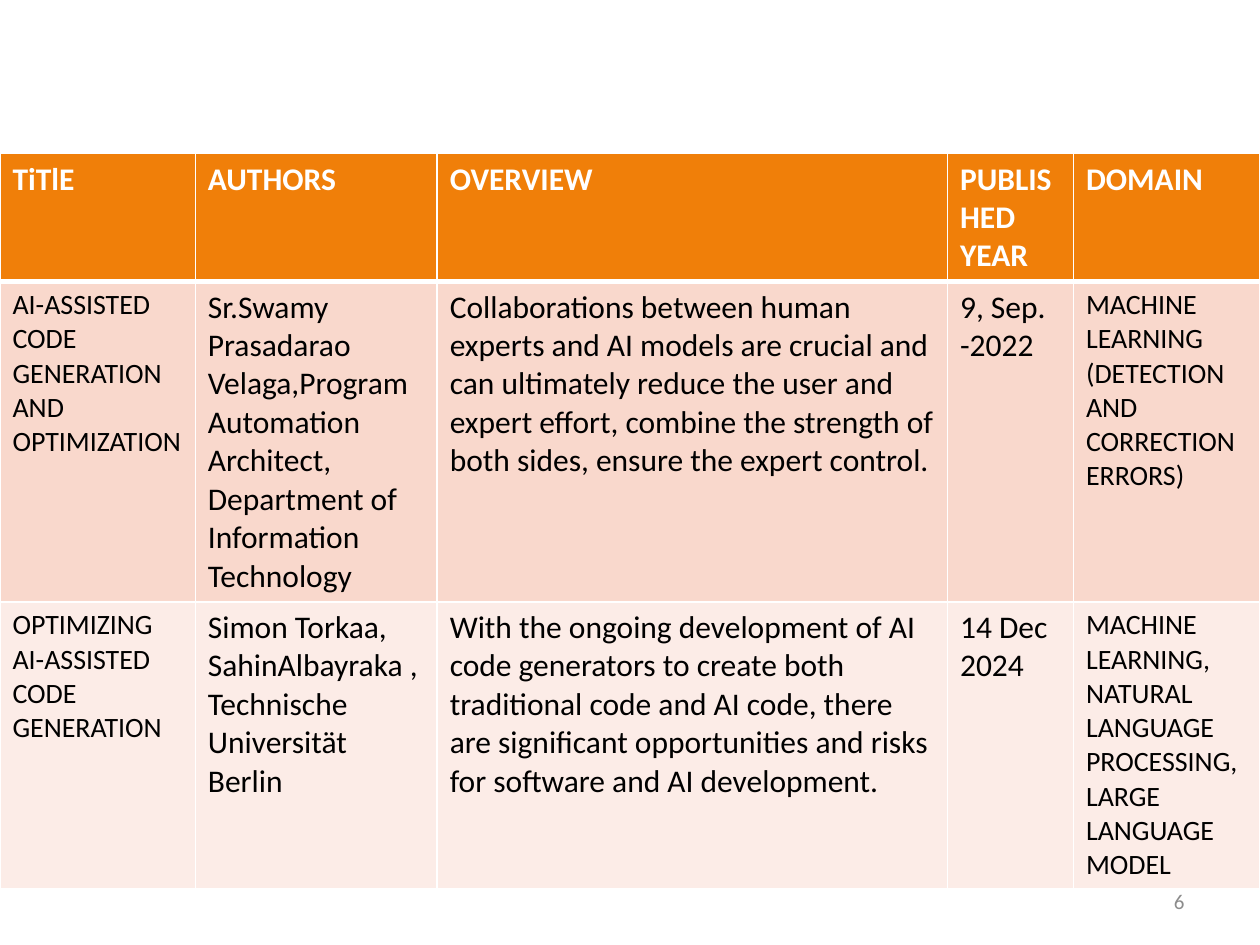
from dataclasses import dataclass

import pptx
import pptx.dml.color
import pptx.enum.text
import pptx.oxml
import pptx.oxml.ns
import pptx.util
from pptx.util import Inches

FONT = "Calibri"
COLORS = {
    "header": "F07F09",
    "odd_band": "F9D8CC",
    "even_band": "FCECE7",
    "rule": "FFFFFF",
    "header_text": "FFFFFF",
    "body_text": "000000",
    "page_number": "8C8C8C",
}


@dataclass
class Column:
    heading: str
    width: float
    body_size: int


@dataclass
class Paper:
    """One surveyed paper; each entry holds the paragraphs of one cell."""
    entries: list[list[str]]
    height: float
    band: str


COLUMNS = [
    Column("TiTlE", 1.55, 16),
    Column("AUTHORS", 1.92, 18),
    Column("OVERVIEW", 4.05, 18),
    Column("PUBLISHED YEAR", 1, 18),
    Column("DOMAIN", 1.48, 16),
]
HEADER_HEIGHT = 1.0
PAPERS = [
    Paper([
        ["AI-ASSISTED CODE GENERATION AND OPTIMIZATION"],
        ["Sr.Swamy Prasadarao Velaga,Program Automation Architect, "
         "Department of Information Technology"],
        ["Collaborations between human experts and AI models are crucial and can "
         "ultimately reduce the user and expert effort, combine the strength of "
         "both sides, ensure the expert control."],
        ["9, Sep. -2022"],
        ["MACHINE LEARNING", "(DETECTION AND CORRECTION \nERRORS)"],
    ], 2.54, "odd_band"),
    Paper([
        ["OPTIMIZING AI-ASSISTED CODE GENERATION"],
        ["Simon Torkaa, SahinAlbayraka ,", "Technische Universität Berlin"],
        ["With the ongoing development of AI code generators to create both "
         "traditional code and AI code, there are significant opportunities and "
         "risks for software and AI development."],
        ["14 Dec 2024"],
        ["MACHINE LEARNING,\nNATURAL LANGUAGE PROCESSING,", "LARGE LANGUAGE MODEL"],
    ], 2.27, "even_band"),
]


def rgb(color: str) -> pptx.dml.color.RGBColor:
    return pptx.dml.color.RGBColor.from_string(COLORS[color])


def write(paragraph, text: str, size: int, color: str, bold: bool = False) -> None:
    paragraph.text = text
    for run in paragraph.runs:
        run.font.name = FONT
        run.font.size = pptx.util.Pt(size)
        run.font.bold = bold
        run.font.color.rgb = rgb(color)


def add_borders(cell, top: float = 1, bottom: float = 1) -> None:
    namespace = pptx.oxml.ns.nsdecls("a")
    properties = cell._tc.get_or_add_tcPr()
    for side, points in (("L", 1), ("R", 1), ("T", top), ("B", bottom)):
        properties.append(pptx.oxml.parse_xml(
            f'<a:ln{side} {namespace} w="{pptx.util.Pt(points)}"><a:solidFill>'
            f'<a:srgbClr val="{COLORS["rule"]}"/></a:solidFill></a:ln{side}>'))


def fill_cell(cell, paragraphs: list[str], size: int, text_color: str,
              background: str, bold: bool = False) -> None:
    cell.fill.solid()
    cell.fill.fore_color.rgb = rgb(background)
    frame = cell.text_frame
    for index, text in enumerate(paragraphs):
        paragraph = frame.add_paragraph() if index else frame.paragraphs[0]
        write(paragraph, text, size, text_color, bold)


def add_survey(slide) -> None:
    heights = [HEADER_HEIGHT] + [paper.height for paper in PAPERS]
    survey = slide.shapes.add_table(
        len(heights), len(COLUMNS), Inches(0), Inches(1.22),
        Inches(10), Inches(sum(heights))).table
    for row, height in zip(survey.rows, heights):
        row.height = Inches(height)

    for x, column in enumerate(COLUMNS):
        survey.columns[x].width = Inches(column.width)
        heading = survey.cell(0, x)
        add_borders(heading, bottom=3)
        fill_cell(heading, [column.heading], 18, "header_text", "header", bold=True)
        for y, paper in enumerate(PAPERS, start=1):
            entry = survey.cell(y, x)
            add_borders(entry, top=3 if y == 1 else 1)
            fill_cell(entry, paper.entries[x], column.body_size, "body_text", paper.band)


def add_page_number(slide, number: str) -> None:
    frame = slide.shapes.add_textbox(
        Inches(7.17), Inches(6.95), Inches(2.33), Inches(0.4)).text_frame
    frame.word_wrap = True
    frame.vertical_anchor = pptx.enum.text.MSO_ANCHOR.MIDDLE
    paragraph = frame.paragraphs[0]
    paragraph.alignment = pptx.enum.text.PP_ALIGN.RIGHT
    write(paragraph, number, 12, "page_number")


def main() -> None:
    deck = pptx.Presentation()
    deck.slide_width, deck.slide_height = Inches(10), Inches(7.5)
    slide = deck.slides.add_slide(deck.slide_layouts.get_by_name("Blank"))

    # Literature survey table
    add_survey(slide)

    # Footer
    add_page_number(slide, "6")

    deck.save("out.pptx")


if __name__ == "__main__":
    main()
